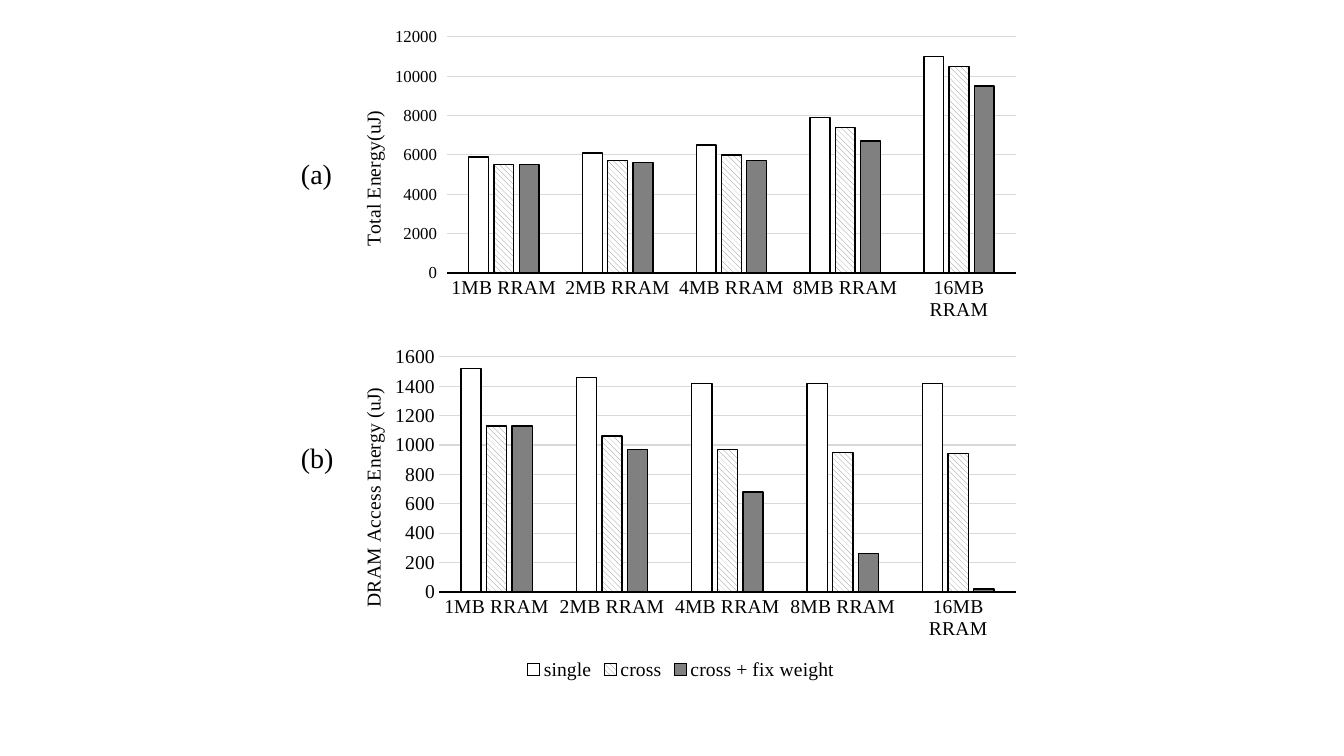
from dataclasses import dataclass

from lxml.etree import SubElement
from pptx import Presentation
from pptx.chart.data import CategoryChartData
from pptx.dml.color import RGBColor
from pptx.enum.chart import XL_CHART_TYPE, XL_LEGEND_POSITION, XL_TICK_MARK
from pptx.enum.dml import MSO_PATTERN
from pptx.oxml.ns import qn
from pptx.util import Pt

# Content: frames are (left, top, width, height) in px
CAPACITIES = ["1MB RRAM", "2MB RRAM", "4MB RRAM", "8MB RRAM", "16MB RRAM"]
SCHEMES = ["single", "cross", "cross + fix weight"]
PANELS = [
    dict(
        label="(a)", label_frame=(291, 152, 51, 44),
        axis_title="Total Energy(uJ)", title_at=(357, 107),
        frame=(331, 21, 700, 306), plot=(447, 37, 569, 236),
        energy=[
            (5900, 6100, 6500, 7900, 11000),
            (5500, 5700, 6000, 7400, 10500),
            (5500, 5600, 5700, 6700, 9500),
        ],
        top=12000, step=2000, tick_size=12, tick=XL_TICK_MARK.OUTSIDE, legend=False,
    ),
    dict(
        label="(b)", label_frame=(291, 436, 53, 44),
        axis_title="DRAM Access Energy (uJ)", title_at=(357, 384),
        frame=(331, 340, 700, 345), plot=(439, 357, 577, 235),
        energy=[
            (1520, 1460, 1420, 1420, 1420),
            (1130, 1060, 970, 950, 940),
            (1130, 970, 680, 260, 20),
        ],
        top=1600, step=200, tick_size=14, tick=XL_TICK_MARK.NONE, legend=True,
    ),
]


@dataclass(frozen=True)
class Theme:
    font: str = "Times New Roman"
    ink: RGBColor = RGBColor(0, 0, 0)
    paper: RGBColor = RGBColor(255, 255, 255)
    gray: RGBColor = RGBColor(0x80, 0x80, 0x80)
    grid: RGBColor = RGBColor(0xD9, 0xD9, 0xD9)
    label_size: int = 20
    axis_size: int = 14


THEME = Theme()
PX = 914400 / 100.8


def emu(*lengths):
    return [round(length * PX) for length in lengths]


def style_font(font, size):
    font.name, font.size, font.bold = THEME.font, Pt(size), False
    font.color.rgb = THEME.ink


def style_line(line, color, width):
    line.color.rgb = color
    line.width = Pt(width)


def place(parent, index, frame, x, y, size=None):
    """Pin a chart part at slide px, as fractions of the chart frame."""
    left, top, width, height = frame
    for old in parent.findall(qn("c:layout")):
        parent.remove(old)
    layout = parent.makeelement(qn("c:layout"), {})
    parent.insert(index, layout)
    manual = SubElement(layout, qn("c:manualLayout"))
    settings = {"xMode": "edge", "yMode": "edge",
                "x": (x - left) / width, "y": (y - top) / height}
    if size:
        settings = {"layoutTarget": "inner", **settings,
                    "w": size[0] / width, "h": size[1] / height}
    for tag, value in settings.items():
        SubElement(manual, qn(f"c:{tag}")).set("val", str(value))


def fill_series(series, scheme):
    fill = series.format.fill
    if scheme == "cross":
        fill.patterned()
        fill.pattern = MSO_PATTERN.WIDE_DOWNWARD_DIAGONAL
        fill.fore_color.rgb, fill.back_color.rgb = THEME.gray, THEME.paper
    else:
        fill.solid()
        fill.fore_color.rgb = THEME.paper if scheme == "single" else THEME.gray
    series.invert_if_negative = False
    style_line(series.format.line, THEME.ink, 1)


def add_energy_chart(slide, panel):
    data = CategoryChartData()
    data.categories = CAPACITIES
    for scheme, values in zip(SCHEMES, panel["energy"]):
        data.add_series(scheme, values)
    chart = slide.shapes.add_chart(
        XL_CHART_TYPE.COLUMN_CLUSTERED, *emu(*panel["frame"]), data).chart
    chart.has_title = False
    style_font(chart.font, THEME.axis_size)

    # Bars
    bars = chart.plots[0]
    bars.gap_width, bars.overlap, bars.vary_by_categories = 219, -27, False
    for series in bars.series:
        fill_series(series, series.name)

    # Axes
    capacity_axis, energy_axis = chart.category_axis, chart.value_axis
    capacity_axis.major_tick_mark = XL_TICK_MARK.NONE
    style_font(capacity_axis.tick_labels.font, THEME.axis_size)
    style_line(capacity_axis.format.line, THEME.ink, 1)
    energy_axis.minimum_scale, energy_axis.maximum_scale = 0, panel["top"]
    energy_axis.major_unit = panel["step"]
    energy_axis.major_tick_mark = panel["tick"]
    style_font(energy_axis.tick_labels.font, panel["tick_size"])
    energy_axis.format.line.fill.background()
    style_line(energy_axis.major_gridlines.format.line, THEME.grid, 0.75)

    # Rotated axis title
    energy_axis.has_title = True
    title_text = energy_axis.axis_title.text_frame
    title_text.text = panel["axis_title"]
    style_font(title_text.paragraphs[0].runs[0].font, THEME.axis_size)
    plot_area = chart.element.find(".//" + qn("c:plotArea"))
    title = plot_area.find(".//" + qn("c:title"))
    body = title.find(".//" + qn("a:bodyPr"))
    body.set("rot", "-5400000")
    body.set("vert", "horz")
    place(title, 1, panel["frame"], *panel["title_at"])

    # Plot area and legend
    x, y, *size = panel["plot"]
    place(plot_area, 0, panel["frame"], x, y, size)
    chart.has_legend = panel["legend"]
    if panel["legend"]:
        chart.legend.position = XL_LEGEND_POSITION.BOTTOM
        chart.legend.include_in_layout = False
        style_font(chart.legend.font, THEME.axis_size)


def add_label(slide, panel):
    frame = slide.shapes.add_textbox(*emu(*panel["label_frame"])).text_frame
    frame.word_wrap = False
    frame.text = panel["label"]
    style_font(frame.paragraphs[0].runs[0].font, THEME.label_size)


def main():
    deck = Presentation()
    deck.slide_width, deck.slide_height = emu(1344, 756)
    slide = deck.slides.add_slide(deck.slide_layouts[6])
    for panel in PANELS:
        add_energy_chart(slide, panel)
        add_label(slide, panel)
    deck.save("out.pptx")


if __name__ == "__main__":
    main()
